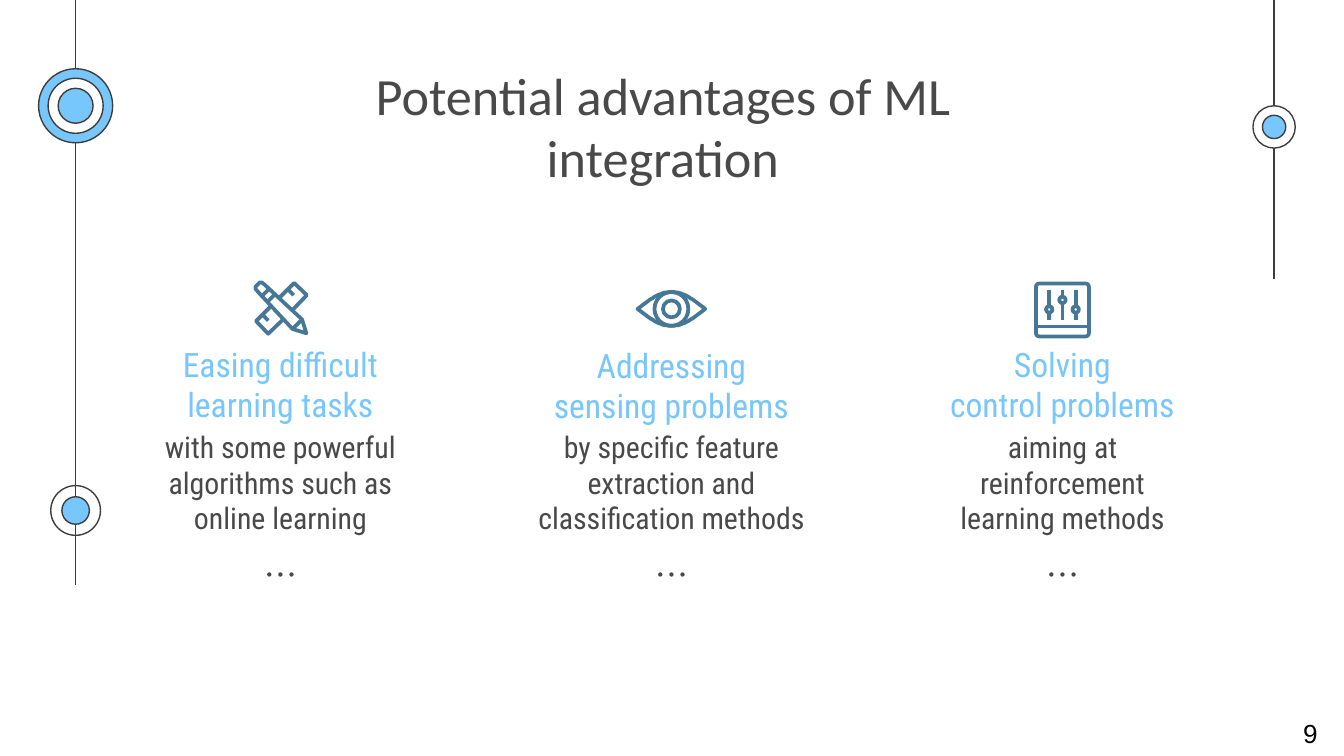
from dataclasses import dataclass
from math import cos, pi
from typing import Optional

from lxml.etree import SubElement
from pptx import Presentation
from pptx.dml.color import RGBColor
from pptx.enum.shapes import MSO_CONNECTOR, MSO_SHAPE as Preset
from pptx.enum.text import MSO_ANCHOR as Anchor, MSO_AUTO_SIZE as AutoSize, PP_ALIGN as Align
from pptx.oxml.ns import qn
from pptx.util import Cm, Pt

COLORS = {
    "ink": "3D3D3D",
    "text": "494949",
    "sky": "77C6FC",
    "icon": "477797",
    "white": "FFFFFF",
    "black": "000000",
}
HEADING_FONT = "Roboto Condensed"
ICON_TOP, ICON_STROKE = 5.31, 2


@dataclass(frozen=True)
class Target:
    """Concentric circles: (radius in cm, fill) from the outside in."""
    x: float
    y: float
    rings: tuple[tuple[float, Optional[str]], ...]


@dataclass(frozen=True)
class Advantage:
    center: float
    heading: str
    heading_top: float
    detail: str
    detail_width: float


TARGETS = (
    Target(1.43, 9.65, ((0.47, None), (0.26, "sky"))),
    Target(24.08, 2.4, ((0.4, "white"), (0.22, "sky"))),
    Target(1.43, 2.0, ((0.7, "sky"), (0.52, "white"), (0.33, "sky"))),
)
ADVANTAGES = (
    Advantage(5.3, "Easing difficult learning tasks", 6.25,
              "with some powerful algorithms such as online learning", 4.9),
    Advantage(12.69, "Addressing sensing problems", 6.27,
              "by specific feature extraction and classification methods", 5.59),
    Advantage(20.08, "Solving\ncontrol problems", 6.25,
              "aiming at reinforcement learning methods", 4.9),
)

# Pencil and ruler strokes, in tenths of a millimetre from the icon's corner
PENCIL = ((20, 7), (15, 3), (11, 3), (3, 11), (3, 15), (7, 20), (73, 91), (99, 99), (91, 73))
PENCIL_BANDS = (((31, 13), (13, 31)), ((41, 24), (24, 41)), ((91, 73), (73, 91)))
RULER_HALF = (((49, 31), (76, 4), (100, 27), (73, 55)), ((64, 16), (75, 27)))


def color(key: str) -> RGBColor:
    return RGBColor.from_string(COLORS[key])


def paint(shape, fill: Optional[str], line: Optional[str], width: float) -> None:
    shape.shadow.inherit = False
    if fill:
        shape.fill.solid()
        shape.fill.fore_color.rgb = color(fill)
    else:
        shape.fill.background()
    if line:
        shape.line.color.rgb = color(line)
        shape.line.width = Pt(width)
    else:
        shape.line.fill.background()


def add_circle(slide, x: float, y: float, radius: float, fill: Optional[str] = None,
               line: Optional[str] = None, width: float = 0.75) -> None:
    circle = slide.shapes.add_shape(Preset.OVAL, Cm(x - radius), Cm(y - radius),
                                    Cm(2 * radius), Cm(2 * radius))
    paint(circle, fill, line, width)


def add_line(slide, x1: float, y1: float, x2: float, y2: float,
             line: str = "ink", width: float = 0.75) -> None:
    connector = slide.shapes.add_connector(MSO_CONNECTOR.STRAIGHT, Cm(x1), Cm(y1), Cm(x2), Cm(y2))
    connector.line.color.rgb = color(line)
    connector.line.width = Pt(width)
    SubElement(connector._element.spPr, qn("a:effectLst"))


def add_stroke(slide, points, x: float, y: float, close: bool = False) -> None:
    """Draw an icon outline through points given in tenths of a millimetre."""
    builder = slide.shapes.build_freeform(*points[0], scale=Cm(0.01))
    builder.add_line_segments(points[1:], close=close)
    paint(builder.convert_to_shape(Cm(x), Cm(y)), None, "icon", ICON_STROKE)


def write(shape, text: str, *, size: float, font: str, ink: str, align=Align.CENTER,
          inset_x: float = 0.25, inset_y: float = 0.25) -> None:
    frame = shape.text_frame
    frame.text = text
    frame.word_wrap = True
    frame.auto_size = AutoSize.NONE
    frame.vertical_anchor = Anchor.TOP
    frame.margin_left = frame.margin_right = Cm(inset_x)
    frame.margin_top = frame.margin_bottom = Cm(inset_y)
    for paragraph in frame.paragraphs:
        paragraph.alignment = align
        paragraph.font.size = Pt(size)
        paragraph.font.name = font
        paragraph.font.color.rgb = color(ink)


def add_text(slide, text: str, x: float, y: float, width: float, height: float, **style) -> None:
    write(slide.shapes.add_textbox(Cm(x), Cm(y), Cm(width), Cm(height)), text, **style)


def add_advantage(slide, advantage: Advantage) -> None:
    center = advantage.center
    for step in (-1, 0, 1):
        add_circle(slide, center + step * 0.21, 10.86, 0.04, "text")
    add_text(slide, advantage.heading, center - 2.5, advantage.heading_top, 5, 0.91,
             size=18, font=HEADING_FONT, ink="sky")
    add_text(slide, advantage.detail, center - advantage.detail_width / 2, 7.85,
             advantage.detail_width, 3, size=16, font=HEADING_FONT, ink="text")


def add_tools_icon(slide, center: float) -> None:
    left = center - 0.5
    add_stroke(slide, PENCIL, left, ICON_TOP, close=True)
    for band in PENCIL_BANDS:
        add_stroke(slide, band, left, ICON_TOP)
    for stroke in RULER_HALF:
        add_stroke(slide, stroke, left, ICON_TOP)
        add_stroke(slide, [(y, x) for x, y in stroke], left, ICON_TOP)


def add_eye_icon(slide, center: float) -> None:
    middle = ICON_TOP + 0.53
    upper = [(x, -round(32 * cos(pi * x / 128), 2)) for x in range(-64, 65, 4)]
    lower = [(x, -y) for x, y in reversed(upper[1:-1])]
    add_stroke(slide, upper + lower, center, middle, close=True)
    for radius in (0.32, 0.16):
        add_circle(slide, center, middle, radius, line="icon", width=ICON_STROKE)


def add_sliders_icon(slide, center: float) -> None:
    panel = slide.shapes.add_shape(Preset.ROUNDED_RECTANGLE, Cm(center - 0.5), Cm(5.36),
                                   Cm(1), Cm(1))
    panel.adjustments[0] = 0.06
    paint(panel, None, "icon", ICON_STROKE)
    add_line(slide, center - 0.5, 6.17, center + 0.5, 6.17, "icon", ICON_STROKE)
    for offset, knob_y in ((-0.25, 5.85), (0, 5.67), (0.25, 5.85)):
        add_line(slide, center + offset, 5.49, center + offset, 6.04, "icon", ICON_STROKE)
        add_circle(slide, center + offset, knob_y, 0.06, "white", "icon", ICON_STROKE)


def main() -> None:
    deck = Presentation()
    deck.slide_width, deck.slide_height = Cm(25.4), Cm(14.29)
    slide = deck.slides.add_slide(deck.slide_layouts[5])

    add_line(slide, 1.43, 0, 1.43, 11.05)
    add_line(slide, 24.08, 0, 24.08, 5.28)
    for target in TARGETS:
        for radius, fill in target.rings:
            add_circle(slide, target.x, target.y, radius, fill, "ink")

    title = slide.shapes.title
    title.left, title.top, title.width, title.height = Cm(4.78), Cm(0.94), Cm(15.49), Cm(1.65)
    write(title, "Potential advantages of ML integration", size=28, font="Calibri", ink="text")

    for advantage in ADVANTAGES:
        add_advantage(slide, advantage)
    for add_icon, advantage in zip((add_tools_icon, add_eye_icon, add_sliders_icon), ADVANTAGES):
        add_icon(slide, advantage.center)

    add_text(slide, "9", 24.38, 13.44, 1.02, 0.84, size=14, font="Arial", ink="black",
             align=Align.LEFT, inset_y=0.13)
    deck.save("out.pptx")


if __name__ == "__main__":
    main()
